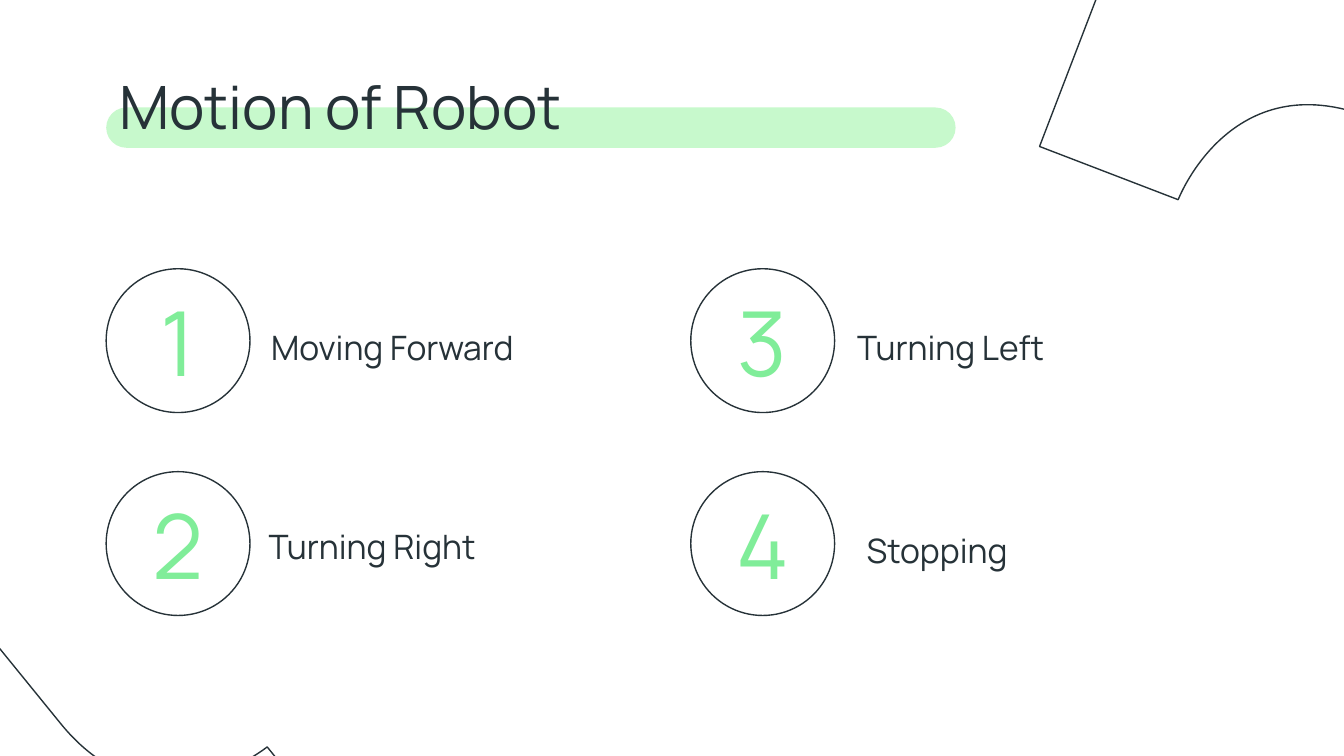
from dataclasses import dataclass

from lxml import etree
from pptx import Presentation
from pptx.dml.color import RGBColor
from pptx.enum.shapes import MSO_SHAPE
from pptx.enum.text import MSO_ANCHOR, PP_ALIGN
from pptx.oxml.ns import qn
from pptx.util import Inches, Pt

ROUNDED, ELLIPSE = MSO_SHAPE.ROUNDED_RECTANGLE, MSO_SHAPE.OVAL
TOP, MIDDLE = MSO_ANCHOR.TOP, MSO_ANCHOR.MIDDLE
LEFT, CENTER = PP_ALIGN.LEFT, PP_ALIGN.CENTER


@dataclass(frozen=True)
class Theme:
    ink: RGBColor = RGBColor.from_string("263238")
    band: RGBColor = RGBColor.from_string("C7F9CC")
    accent: RGBColor = RGBColor.from_string("80ED99")
    font: str = "Manrope"
    title: int = 32
    label: int = 18
    number: int = 48
    outline: float = 0.75
    inset: float = 0.1


@dataclass(frozen=True)
class Box:
    """A rectangle in inches."""
    left: float
    top: float
    width: float
    height: float

    def inner(self, dx, dy, width, height):
        return Box(self.left + dx, self.top + dy, width, height)

    def emu(self):
        return [Inches(v) for v in (self.left, self.top, self.width, self.height)]


THEME = Theme()
PAGE = Box(0, 0, 10, 10 * 9 / 16)
MARGIN = 0.79

# Grid of motions: first cell and the pitch between columns and rows
GRID_TOP, COLUMN, ROW = 2.0, 4.35, 1.51
CIRCLE = 1.07
# Text, column, row, and the label's offset from its cell
MOTIONS = [
    ("Moving Forward", 0, 0, 1.13, 0.33),
    ("Turning Right", 0, 1, 1.11, 0.30),
    ("Turning Left", 1, 0, 1.14, 0.33),
    ("Stopping", 1, 1, 1.21, 0.33),
]

# Closed outline: a start point, then three points for each Bézier curve
BLOB = [
    (3.54, 0.01),
    (3.45, 0.01), (3.36, 0.03), (3.26, 0.08),
    (2.86, 0.29), (2.84, 0.72), (2.31, 0.75),
    (2.26, 0.74), (2.21, 0.75), (2.15, 0.75),
    (1.91, 0.75), (1.67, 0.72), (1.45, 0.72),
    (1.17, 0.72), (0.90, 0.76), (0.61, 0.93),
    (0.11, 1.20), (0.00, 1.60), (0.11, 2.06),
    (0.27, 2.88), (0.97, 3.25), (1.77, 3.25),
    (2.12, 3.25), (2.47, 3.18), (2.82, 3.05),
    (3.92, 2.62), (4.43, 1.66), (4.17, 0.68),
    (4.10, 0.39), (3.89, 0.01), (3.54, 0.01),
]


def outline(shape):
    shape.shadow.inherit = False
    shape.fill.background()
    shape.line.color.rgb = THEME.ink
    shape.line.width = Pt(THEME.outline)


def add_text(page, box, text, size, color, align=LEFT, anchor=TOP):
    frame = page.shapes.add_textbox(*box.emu()).text_frame
    frame.word_wrap = True
    frame.vertical_anchor = anchor
    frame.margin_left = frame.margin_right = Inches(THEME.inset)
    frame.margin_top = frame.margin_bottom = Inches(THEME.inset)
    para = frame.paragraphs[0]
    para.text = text
    para.alignment = align
    para.font.name = THEME.font
    para.font.size = Pt(size)
    para.font.color.rgb = color


def add_blob(page, box, angle):
    """Draw the blob in the box, turned by angle degrees about its centre."""
    builder = page.shapes.build_freeform(*BLOB[0], scale=Inches(1))
    builder.add_line_segments(BLOB[1:], close=True)
    blob = builder.convert_to_shape()
    # Turn every three straight segments into one Bézier curve
    lines = list(blob.element.iter(qn("a:lnTo")))
    for first in range(0, len(BLOB) - 1, 3):
        curve = etree.Element(qn("a:cubicBezTo"))
        lines[first].addprevious(curve)
        for line in lines[first:first + 3]:
            curve.append(line[0])
            line.getparent().remove(line)
    blob.left, blob.top, blob.width, blob.height = box.emu()
    blob.rotation = angle
    outline(blob)


def add_heading(page, box, text):
    band = page.shapes.add_shape(ROUNDED, *box.inner(0, 0.38, 6.32, 0.3).emu())
    band.adjustments[0] = 0.5
    band.shadow.inherit = False
    band.fill.solid()
    band.fill.fore_color.rgb = THEME.band
    band.line.fill.background()
    add_text(page, box, text, THEME.title, THEME.ink)


def add_motion(page, cell, number, text, label_dx, label_dy):
    outline(page.shapes.add_shape(ELLIPSE, *cell.emu()))
    add_text(page, cell.inner(0.05, 0.15, 0.97, 0.77), str(number),
             THEME.number, THEME.accent, CENTER, MIDDLE)
    add_text(page, cell.inner(label_dx, label_dy, 2.93, 0.41), text,
             THEME.label, THEME.ink)


def main():
    deck = Presentation()
    deck.slide_width, deck.slide_height = Inches(PAGE.width), Inches(PAGE.height)
    page = deck.slides.add_slide(deck.slide_layouts[6])

    add_blob(page, Box(8.17, -1.26, 4.42, 3.25), 201)
    add_blob(page, Box(-2.18, 4.1, 4.42, 3.25), 50.9)
    add_heading(page, Box(MARGIN, 0.42, 8.43, 0.67), "Motion of Robot")
    for number, (text, column, row, dx, dy) in enumerate(MOTIONS, start=1):
        cell = Box(MARGIN + column * COLUMN, GRID_TOP + row * ROW, CIRCLE, CIRCLE)
        add_motion(page, cell, number, text, dx, dy)

    deck.save("out.pptx")


if __name__ == "__main__":
    main()
